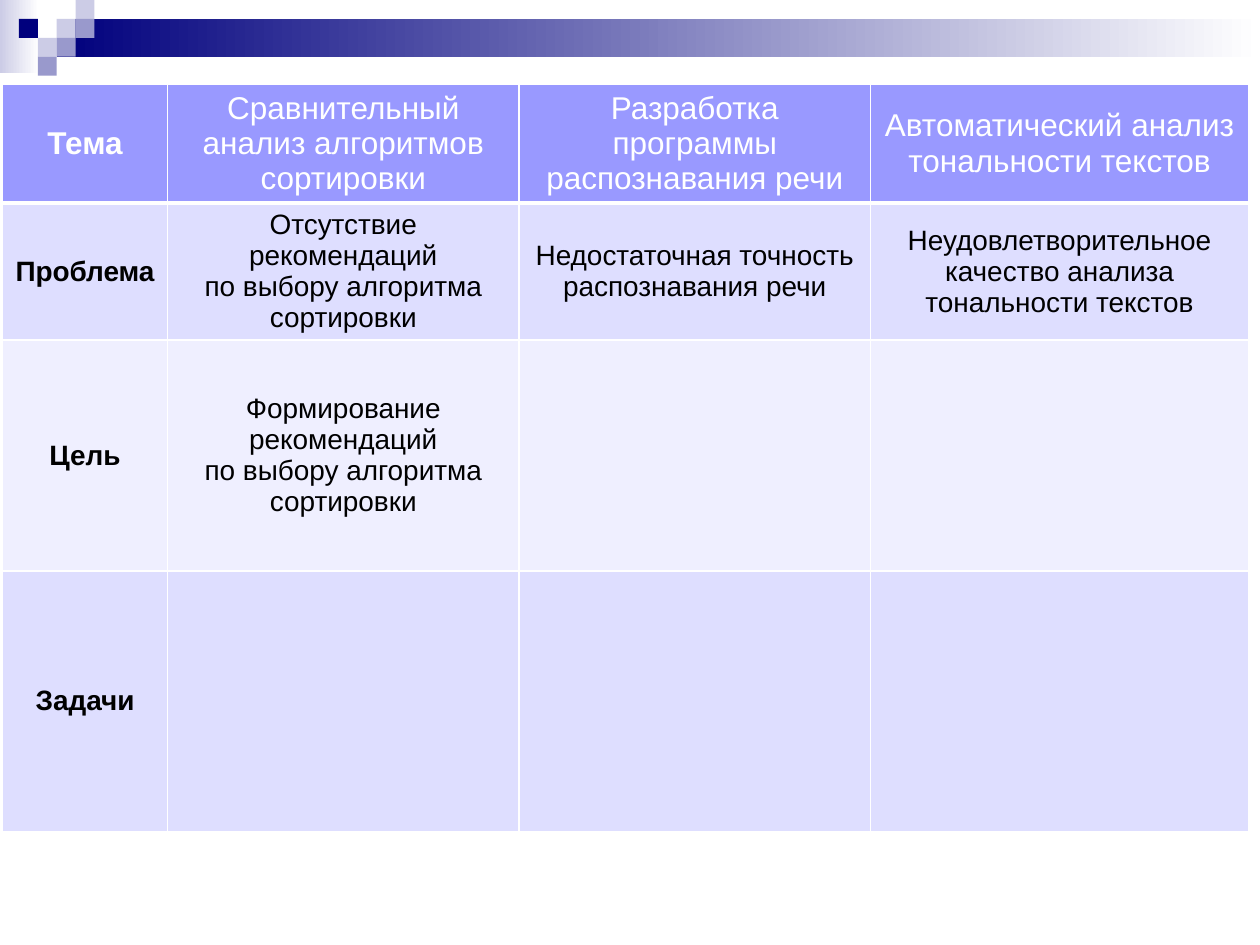
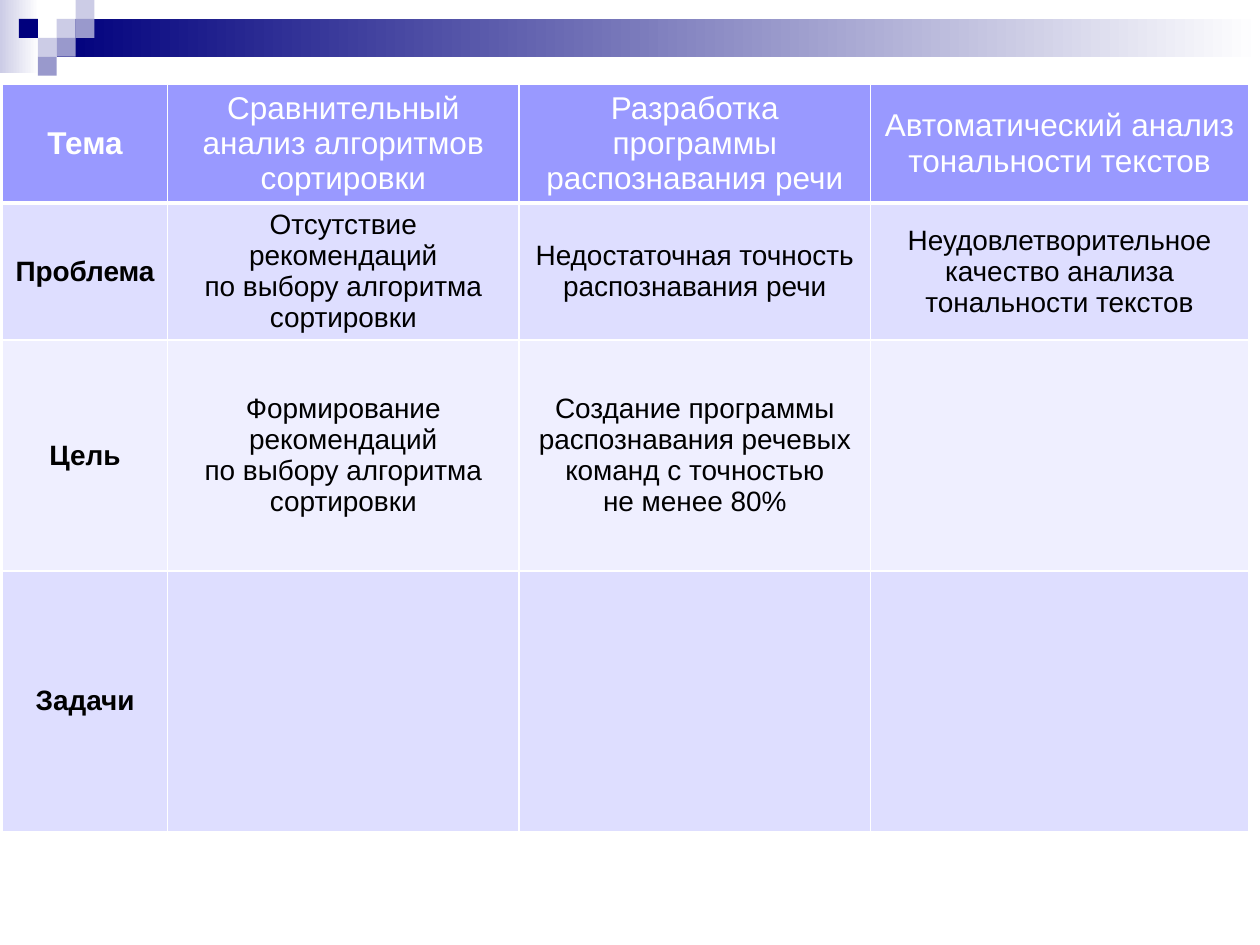
from copy import deepcopy

from lxml.etree import SubElement
from pptx import Presentation
from pptx.dml.color import RGBColor
from pptx.enum.shapes import MSO_SHAPE
from pptx.enum.text import MSO_ANCHOR, PP_ALIGN
from pptx.oxml.ns import qn
from pptx.util import Inches, Pt

NAVY = RGBColor(0x00, 0x00, 0x7D)
SLATE = RGBColor(0x99, 0x99, 0xCC)
MIST = RGBColor(0xCC, 0xCC, 0xE6)
HEAD = RGBColor(0x99, 0x99, 0xFF)
DARK = RGBColor(0xDE, 0xDE, 0xFF)
PALE = RGBColor(0xEF, 0xEF, 0xFF)
WHITE = RGBColor(0xFF, 0xFF, 0xFF)
BLACK = RGBColor(0x00, 0x00, 0x00)

UNIT = 0.15
# Column and row of each square, in units
SQUARES = [(3, 1, MIST), (4, 0, MIST), (4, 1, SLATE), (2, 2, MIST),
           (1, 1, NAVY), (3, 2, SLATE), (2, 3, SLATE)]

COLS = [1.31, 2.79, 2.79, 3]
ROWS = [0.94, 1.09, 1.83, 2.07]
TOPICS = ["Тема", "Сравнительный анализ алгоритмов сортировки",
          "Разработка программы распознавания речи",
          "Автоматический анализ тональности текстов"]
ISSUES = ["Проблема",
          "Отсутствие рекомендаций\nпо выбору алгоритма сортировки",
          "Недостаточная точность распознавания речи",
          "Неудовлетворительное качество анализа тональности текстов"]
AIM = "Формирование рекомендаций\nпо выбору алгоритма сортировки"
SPEECH = ("Создание программы распознавания речевых команд с точностью"
          "\nне менее 80%")
TASKS = ["Задачи", "", "", ""]


class Deck:
    """Holds the shared style and the current slide."""

    def __init__(self):
        self.prs = Presentation()
        self.prs.slide_width, self.prs.slide_height = Inches(10), Inches(7.5)
        self.slide = None

    def start(self):
        """Add a slide with the banner across its top."""
        self.slide = self.prs.slides.add_slide(self.prs.slide_layouts[6])
        self.fade(0, 0, 0.31, 0.58, MIST)
        self.fade(0.45, UNIT, 9.55, 2 * UNIT, NAVY)
        for col, row, color in SQUARES:
            box = self.rect(col * UNIT, row * UNIT, UNIT, UNIT)
            box.fill.solid()
            box.fill.fore_color.rgb = color

    def rect(self, left, top, width, height):
        box = self.slide.shapes.add_shape(
            MSO_SHAPE.RECTANGLE, *map(Inches, (left, top, width, height)))
        box.shadow.inherit = False
        box.line.fill.background()
        return box

    def fade(self, left, top, width, height, color):
        """Draw a rectangle that fades to white from left to right."""
        fill = self.rect(left, top, width, height).fill
        fill.gradient()
        fill.gradient_angle = 0
        for stop, tint, place in zip(fill.gradient_stops, (color, WHITE), (0, 1)):
            stop.color.rgb = tint
            stop.position = place

    def table(self, data):
        size = map(Inches, (0.02, 0.67, sum(COLS), sum(ROWS)))
        grid = self.slide.shapes.add_table(len(ROWS), len(COLS), *size).table
        for col, width in zip(grid.columns, COLS):
            col.width = Inches(width)
        for row, height in zip(grid.rows, ROWS):
            row.height = Inches(height)
        fills = [HEAD, DARK, PALE, DARK]
        for r, texts in enumerate(data):
            for c, text in enumerate(texts):
                cell = grid.cell(r, c)
                self.edge(cell, {"L": 1, "R": 1, "T": 3 if r == 1 else 1,
                                 "B": 3 if r == 0 else 1})
                cell.fill.solid()
                cell.fill.fore_color.rgb = fills[r]
                cell.vertical_anchor = MSO_ANCHOR.MIDDLE
                if text:
                    look = {"name": "Arial", "bold": c == 0,
                            "size": Pt(16 if r else 18)}
                    self.label(cell, text, look, BLACK if r else WHITE)

    def edge(self, cell, sides):
        props = cell._tc.get_or_add_tcPr()
        for side, width in sides.items():
            line = SubElement(props, qn(f"a:ln{side}"), w=str(Pt(width)))
            fill = SubElement(line, qn("a:solidFill"))
            SubElement(fill, qn("a:srgbClr"), val=str(WHITE))

    def label(self, cell, text, look, color):
        para = cell.text_frame.paragraphs[0]
        para.text = text
        para.alignment = PP_ALIGN.CENTER
        for run in para.runs:
            for key, value in look.items():
                setattr(run.font, key, value)
            run.font.color.rgb = color
        # Line breaks take the format of the text so that lines stay even
        for gap in para._p.findall(qn("a:br")):
            gap.append(deepcopy(para.runs[0]._r.rPr))


def main():
    deck = Deck()
    for speech in ("", SPEECH):
        deck.start()
        deck.table([TOPICS, ISSUES, ["Цель", AIM, speech, ""], TASKS])
    deck.prs.save("out.pptx")


if __name__ == "__main__":
    main()
